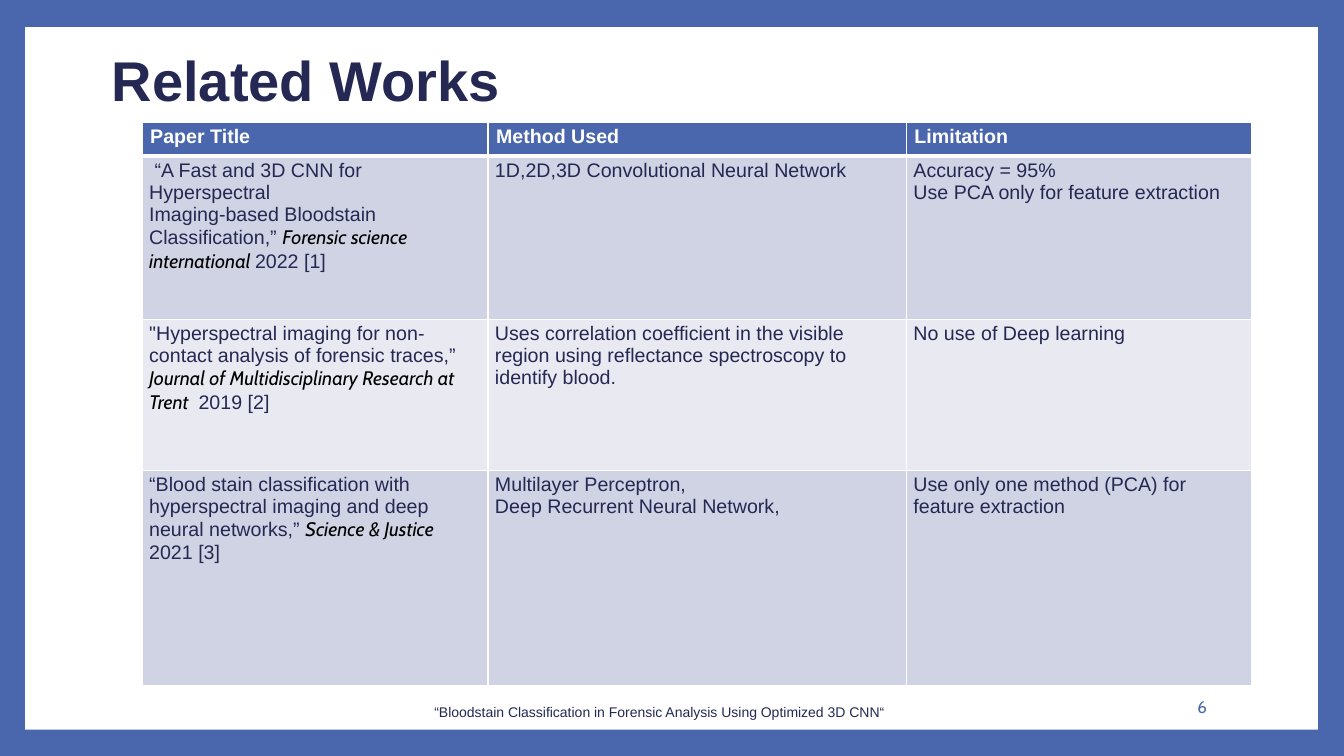
"""Build the Related Works slide: a framed page with a table of three papers."""
from lxml import etree
from pptx import Presentation
from pptx.dml.color import RGBColor
from pptx.enum.shapes import MSO_SHAPE
from pptx.enum.text import MSO_ANCHOR, MSO_AUTO_SIZE, PP_ALIGN
from pptx.oxml import parse_xml
from pptx.oxml.ns import nsdecls
from pptx.util import Pt

PX = 9144
RECTANGLE = MSO_SHAPE.RECTANGLE
TOP, MIDDLE = MSO_ANCHOR.TOP, MSO_ANCHOR.MIDDLE
LEFT, RIGHT = PP_ALIGN.LEFT, PP_ALIGN.RIGHT
NO_AUTOFIT = MSO_AUTO_SIZE.NONE
TITLE_ONLY = 5

BLUE, NAVY, WHITE, BLACK = "4A66AC", "242852", "FFFFFF", "000000"
BANDS = ["D0D3E3", "E9EAF1"]

COLUMN_WIDTHS = [343, 415, 342]
ROW_HEIGHTS = [34, 162, 150, 213]
JOURNALS = ["Forensic science international ",
            "Journal of Multidisciplinary Research at Trent ",
            "Science & Justice"]
ROWS = [
    [[["Paper Title"]], [["Method Used"]], [["Limitation"]]],
    [[[" “A Fast and 3D CNN for Hyperspectral"],
      ["Imaging-based Bloodstain Classification,” ", JOURNALS[0], "2022 [1]"]],
     [["1D,2D,3D Convolutional Neural Network"]],
     [["Accuracy = 95%"], ["Use PCA only for feature extraction"]]],
    [[["\"Hyperspectral imaging for non-contact analysis of forensic traces,” ",
       JOURNALS[1], " 2019 [2]"]],
     [["Uses correlation coefficient in the visible region using "
       "reflectance spectroscopy to identify blood."]],
     [["No use of Deep learning"]]],
    [[["“Blood stain classification with hyperspectral imaging and deep "
       "neural networks,” ", JOURNALS[2]],
      ["2021 [3]"]],
     [["Multilayer Perceptron,"], ["Deep Recurrent Neural Network,"]],
     [["Use only one method (PCA) for"], ["feature extraction"]]],
]


def color(hex_code):
    return RGBColor.from_string(hex_code)


def add_span(para, text, size, hex_code, font="Arial", bold=False, italic=False):
    span = para.add_run()
    span.text = text
    span.font.name = font
    span.font.size = Pt(size)
    span.font.bold = bold
    span.font.italic = italic
    span.font.color.rgb = color(hex_code)


deck = Presentation()
deck.slide_width, deck.slide_height = 1333 * PX, 750 * PX
page = deck.slides.add_slide(deck.slide_layouts[TITLE_ONLY])
page.background.fill.solid()
page.background.fill.fore_color.rgb = color(BLUE)

title = page.shapes.title
title.left, title.top, title.width, title.height = 101 * PX, 9 * PX, 1080 * PX, 148 * PX

panel = page.shapes.add_shape(RECTANGLE, 25 * PX, 27 * PX, 1282 * PX, 697 * PX)
panel.shadow.inherit = False
panel.fill.solid()
panel.fill.fore_color.rgb = color(WHITE)
panel.line.fill.background()
title.element.addprevious(panel.element)

number = page.shapes.add_textbox(1020 * PX, 681 * PX, 187 * PX, 40 * PX)
footer = page.shapes.add_textbox(421 * PX, 695 * PX, 500 * PX, 40 * PX)

for box, text, size, hex_code, font, bold, align, anchor, spacing in [
    (title, "Related Works", 40, NAVY, "Arial", True, LEFT, MIDDLE, 0.9),
    (number, "6", 12, BLUE, "Cabin", False, RIGHT, MIDDLE, 1.0),
    (footer, "“Bloodstain Classification in Forensic Analysis Using Optimized 3D CNN“",
     10, NAVY, "Arial", False, LEFT, TOP, 0.9),
]:
    frame = box.text_frame
    frame.word_wrap = True
    frame.auto_size = NO_AUTOFIT
    frame.vertical_anchor = anchor
    para = frame.paragraphs[0]
    para.alignment = align
    para.line_spacing = spacing
    add_span(para, text, size, hex_code, font, bold)

table = page.shapes.add_table(
    len(ROWS), len(COLUMN_WIDTHS), 141 * PX, 121 * PX,
    sum(COLUMN_WIDTHS) * PX, sum(ROW_HEIGHTS) * PX).table
for column, width in zip(table.columns, COLUMN_WIDTHS):
    column.width = width * PX
for row, height in zip(table.rows, ROW_HEIGHTS):
    row.height = height * PX

for row_index, row in enumerate(ROWS):
    header = row_index == 0
    for column_index, paragraphs in enumerate(row):
        cell = table.cell(row_index, column_index)
        cell.margin_left = cell.margin_right = (8 if header else 7) * PX
        cell.margin_top = cell.margin_bottom = (4 if header else 3) * PX
        cell.fill.solid()
        cell.fill.fore_color.rgb = color(BLUE if header else BANDS[(row_index - 1) % 2])

        weights = {"L": 1, "R": 1, "T": 3 if row_index == 1 else 1, "B": 3 if header else 1}
        for position, (side, weight) in enumerate(weights.items()):
            border = parse_xml(f'<a:ln{side} {nsdecls("a")} w="{Pt(weight)}"/>')
            fill = etree.SubElement(border, border.tag.replace(f"ln{side}", "solidFill"))
            etree.SubElement(fill, fill.tag.replace("solidFill", "srgbClr"), val=WHITE)
            cell._tc.tcPr.insert(position, border)

        frame = cell.text_frame
        for para_index, texts in enumerate(paragraphs):
            para = frame.add_paragraph() if para_index else frame.paragraphs[0]
            for text in texts:
                if text in JOURNALS:
                    add_span(para, text, 14, BLACK, "Cabin", italic=True)
                else:
                    add_span(para, text, 14, WHITE if header else NAVY, bold=header)

deck.save("out.pptx")
